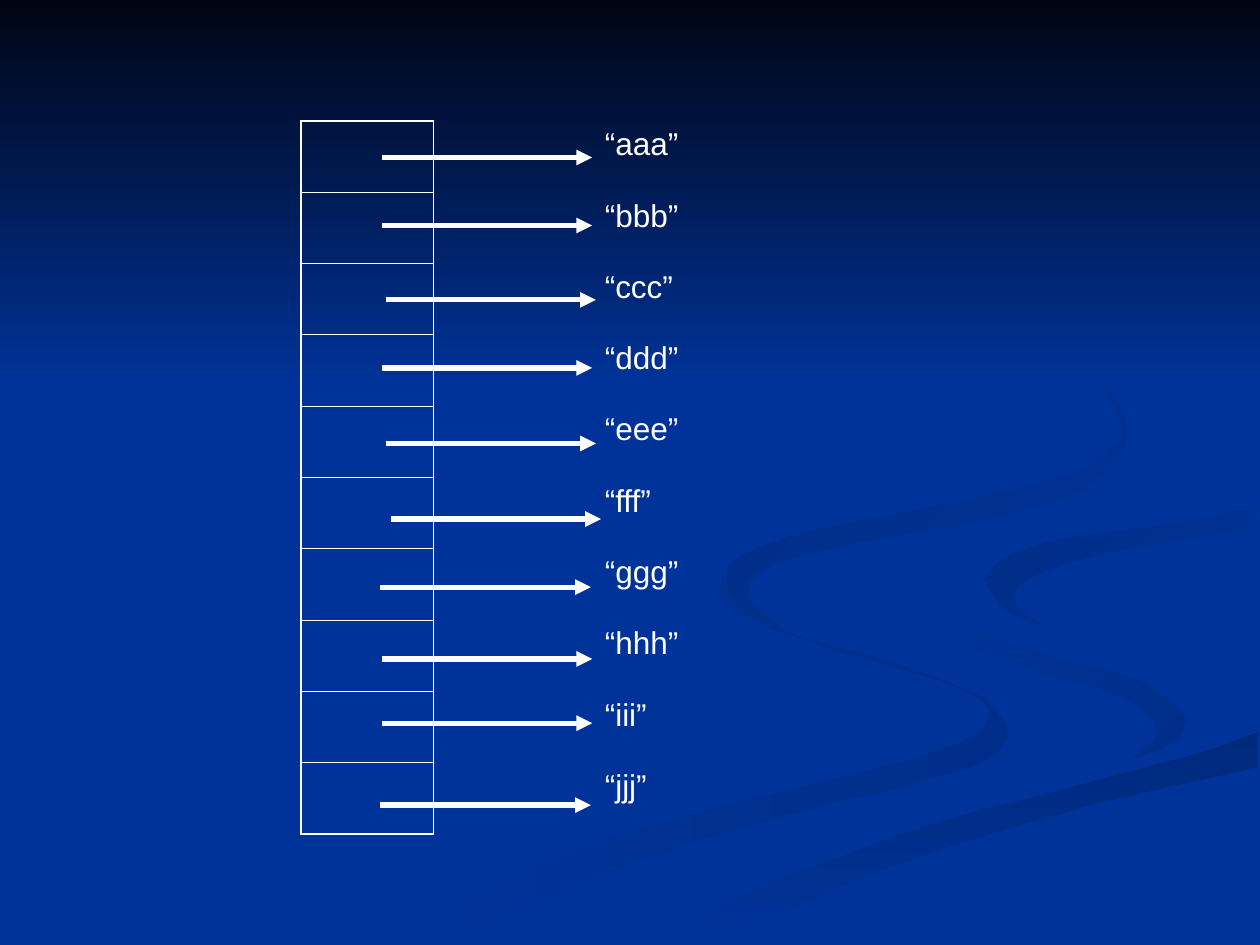
"""Build a slide of an array whose ten cells point to strings."""
from lxml.etree import SubElement
from pptx import Presentation
from pptx.dml.color import RGBColor
from pptx.enum.shapes import MSO_CONNECTOR, MSO_SHAPE
from pptx.oxml.ns import qn
from pptx.util import Pt

PX = 9144
NIGHT, ROYAL, WHITE = "000514", "003399", "FFFFFF"
SHADE, DEEP_SHADE, SOFT_SHADE, DIM_SHADE = "002E8A", "00297C", "002C85", "002B81"
PLAIN_TABLE = "{2D5ABB26-0587-4C30-8999-92F81FD0307C}"
THIN, THICK = 0.45, 1.08

ARRAY_LEFT, ARRAY_TOP, ARRAY_HEIGHT = 239, 96, 566
SLOT_WIDTH, GAP_WIDTH, LABEL_WIDTH = 105, 126, 171
ARROW_LENGTH = 167
ARROW_STARTS = {
    "a": (303, 125), "b": (303, 179), "c": (306, 238), "d": (303, 292),
    "e": (306, 352), "f": (310, 412), "g": (302, 466), "h": (303, 523),
    "i": (303, 574), "j": (302, 639),
}


def smooth(*knots, steps=4):
    """Return a Catmull-Rom curve through the knots."""
    padded = [knots[0], *knots, knots[-1]]
    curve = [knots[0]]
    for a, b, c, d in zip(padded, padded[1:], padded[2:], padded[3:]):
        for step in range(1, steps + 1):
            t = step / steps
            curve.append(tuple(
                round(q + t * (r - p) / 2 + t**2 * (2 * p - 5 * q + 4 * r - s) / 2
                      + t**3 * (3 * q - p - 3 * r + s) / 2)
                for p, q, r, s in zip(a, b, c, d)))
    return curve


def ribbons():
    """Return the outline, colours and angle of each background ribbon."""
    long_left = smooth((575, 459), (570, 472), (593, 491), (654, 513), (728, 535),
                       (770, 551), (785, 566), (767, 587), (699, 609), (579, 639),
                       (458, 674), (376, 707), (300, 749))
    long_right = smooth((361, 749), (431, 714), (532, 674), (623, 647), (721, 623),
                        (780, 605), (800, 581), (781, 553))
    long_crest = smooth((781, 553), (715, 528), (626, 502), (587, 481), (575, 459))

    short_outer = smooth((724, 464), (733, 483), (758, 498), (830, 519), (905, 540),
                         (943, 570))
    short_tip = smooth((943, 570), (932, 589), (894, 605))
    short_inner = smooth((894, 605), (917, 585), (911, 567), (880, 549), (815, 530),
                         (755, 505), (733, 488), (724, 464))

    lower_top = smooth((519, 747), (569, 719), (630, 693), (696, 669), (764, 647),
                       (867, 620), (950, 598), (998, 581))
    lower_bottom = smooth((998, 609), (903, 630), (821, 651), (752, 672), (695, 692),
                          (649, 710), (600, 733), (571, 749))

    edge_outer = smooth((781, 460), (799, 442), (849, 427), (933, 415), (998, 402))
    edge_inner = smooth((998, 420), (936, 429), (878, 439), (816, 459), (806, 478),
                        (826, 496))
    edge_tip = smooth((826, 496), (797, 483), (781, 460))

    wide_foot = smooth((894, 605), (743, 643), (573, 703), (477, 749))
    wide_hollow = smooth((998, 538), (904, 519), (832, 498), (786, 473), (781, 460))
    wide_crest = smooth((998, 387), (920, 401), (788, 422), (732, 446), (724, 464))

    upper_outer = smooth((683, 430), (786, 412), (855, 391), (889, 362), (890, 324),
                         (843, 275), (762, 233))
    upper_inner = smooth((762, 233), (846, 279), (889, 335), (876, 360), (842, 378),
                         (763, 398), (649, 420), (589, 441), (577, 462), (590, 484),
                         (622, 500))
    upper_tip = smooth((622, 500), (597, 480), (596, 461), (624, 444), (683, 430))

    wide = (short_outer + short_tip + wide_foot + lower_top
            + wide_hollow + edge_outer + wide_crest)
    return [
        (long_left + long_right + long_crest, (SHADE, ROYAL), 180),
        (short_outer + short_tip + short_inner, (SHADE, ROYAL), 225),
        (lower_top + lower_bottom + [(503, 749)], (DEEP_SHADE, ROYAL), 90),
        (wide, (ROYAL,), 0),
        (edge_outer + edge_inner + edge_tip, (ROYAL, SOFT_SHADE), 225),
        (upper_outer + upper_inner + upper_tip, (ROYAL, DIM_SHADE), 225),
    ]


def rgb(code):
    """Return the colour of a hex string."""
    return RGBColor.from_string(code)


def write(frame, text, *, size=18, font="Arial", color=WHITE):
    """Put formatted text into a text frame."""
    frame.text = text
    style = frame.paragraphs[0].runs[0].font
    style.size, style.name = Pt(size), font
    style.color.rgb = rgb(color)


class Board:
    """Hold the line style and the current slide."""

    def __init__(self, slide, line=WHITE):
        """Start on a slide with a royal blue background."""
        self.shapes, self.line = slide.shapes, line
        slide.background.fill.solid()
        slide.background.fill.fore_color.rgb = rgb(ROYAL)

    def paint(self, shape, colors, angle):
        """Fill a shape with one colour or a clockwise gradient."""
        shape.shadow.inherit = False
        shape.line.fill.background()
        if len(colors) == 1:
            shape.fill.solid()
            shape.fill.fore_color.rgb = rgb(colors[0])
            return
        shape.fill.gradient()
        shape.fill.gradient_angle = 360 - angle
        for stop, color in zip(shape.fill.gradient_stops, colors):
            stop.color.rgb = rgb(color)

    def ribbon(self, outline, colors, angle):
        """Draw a closed outline."""
        builder = self.shapes.build_freeform(*outline[0], scale=PX)
        builder.add_line_segments(outline[1:], close=True)
        self.paint(builder.convert_to_shape(), colors, angle)

    def panel(self, left, top, width, height, colors, angle):
        """Draw a filled rectangle."""
        box = [n * PX for n in (left, top, width, height)]
        self.paint(self.shapes.add_shape(MSO_SHAPE.RECTANGLE, *box), colors, angle)

    def border(self, cell, **widths):
        """Line the named sides of a cell and clear the others."""
        properties = cell._tc.get_or_add_tcPr()
        for side in "LRTB":
            edge = SubElement(properties, qn(f"a:ln{side}"))
            if side in widths:
                edge.set("w", str(Pt(widths[side])))
                fill = SubElement(edge, qn("a:solidFill"))
                SubElement(fill, qn("a:srgbClr"), val=self.line)
            else:
                SubElement(edge, qn("a:noFill"))
        cell.fill.background()

    def array(self, left, top, height, widths, strings):
        """Draw a column of framed cells with a string beside each."""
        box = [n * PX for n in (left, top, sum(widths), height)]
        table = self.shapes.add_table(len(strings), len(widths), *box).table
        table.first_row = table.horz_banding = False
        table._tbl.tblPr[0].text = PLAIN_TABLE
        for column, width in zip(table.columns, widths):
            column.width = width * PX
        last = len(strings) - 1
        for row, text in enumerate(strings):
            slot, gap, label = (table.cell(row, column) for column in range(3))
            self.border(slot, L=THICK, R=THIN, T=THIN if row else THICK,
                        B=THICK if row == last else THIN)
            self.border(gap, L=THIN)
            self.border(label)
            write(label.text_frame, text)

    def arrow(self, left, top, length):
        """Draw a level arrow to the right."""
        ends = [n * PX for n in (left, top, left + length, top)]
        pointer = self.shapes.add_connector(MSO_CONNECTOR.STRAIGHT, *ends)
        pointer.line.color.rgb = rgb(self.line)
        pointer.line.width = Pt(3)
        properties = pointer._element.spPr
        SubElement(properties.find(qn("a:ln")), qn("a:tailEnd"), type="triangle")
        SubElement(properties, qn("a:effectLst"))


def main():
    """Build and save the slide."""
    deck = Presentation()
    deck.slide_width, deck.slide_height = 1000 * PX, 750 * PX
    board = Board(deck.slides.add_slide(deck.slide_layouts[6]))
    for outline, colors, angle in ribbons():
        board.ribbon(outline, colors, angle)
    board.panel(0, 0, 1000, 308, (NIGHT, ROYAL), 90)
    board.array(ARRAY_LEFT, ARRAY_TOP, ARRAY_HEIGHT,
                (SLOT_WIDTH, GAP_WIDTH, LABEL_WIDTH),
                [f"“{letter * 3}”" for letter in ARROW_STARTS])
    for left, top in ARROW_STARTS.values():
        board.arrow(left, top, ARROW_LENGTH)
    deck.save("out.pptx")


if __name__ == "__main__":
    main()
